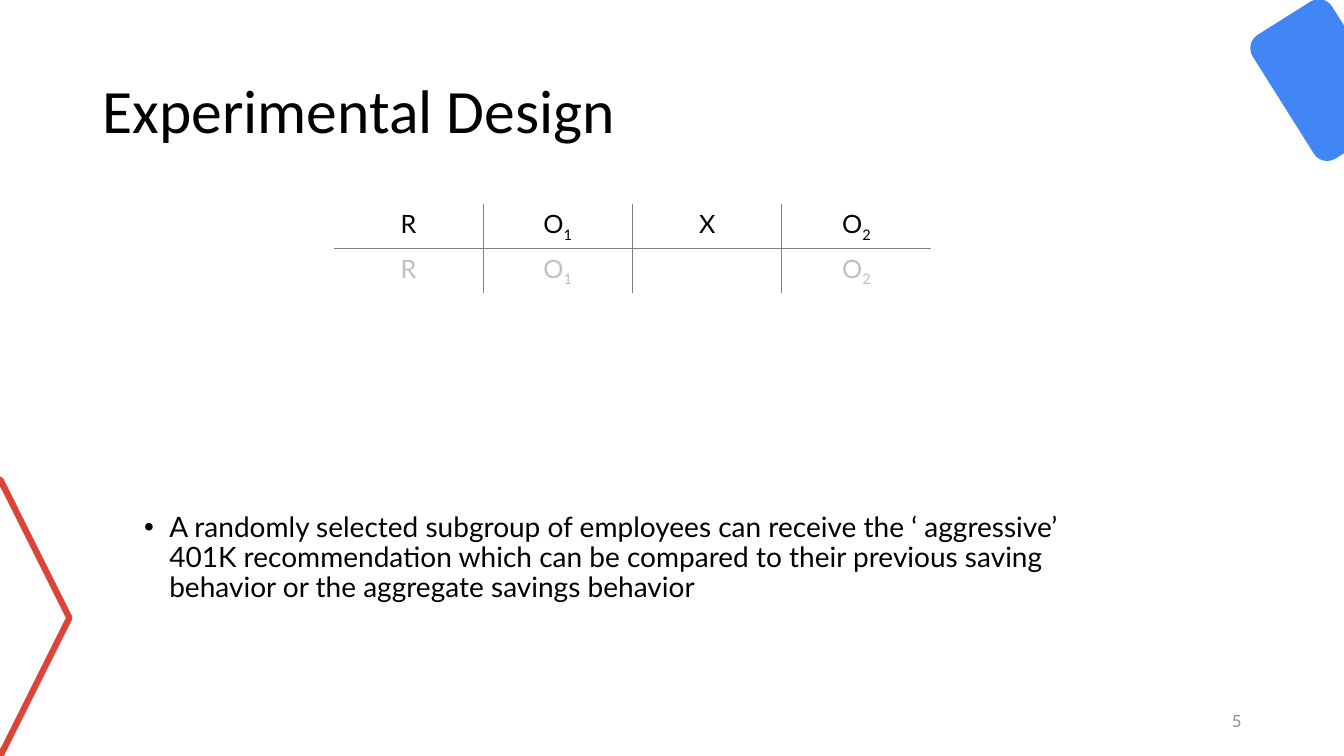
from pptx import Presentation
from pptx.dml.color import RGBColor
from pptx.enum.shapes import MSO_SHAPE as Preset
from pptx.enum.text import MSO_ANCHOR as Anchor, PP_ALIGN as Align
from pptx.oxml.ns import qn
from pptx.util import Pt
from lxml.etree import SubElement

COLORS = {
    "black": "000000",
    "blue": "4285F4",
    "red": "DB4437",
    "border": "808080",
    "muted": "BFBFBF",
    "number": "8C8C8C",
}
NO_STYLE = "{2D5ABB26-0587-4C30-8999-92F81FD0307C}"
DESIGN = [
    ("black", ["R", "O1", "X", "O2"]),
    ("muted", ["R", "O1", "", "O2"]),
]
FINDING = (
    "A randomly selected subgroup of employees can receive the ‘ aggressive’ "
    "401K recommendation which can be compared to their previous saving "
    "behavior or the aggregate savings behavior"
)


def color(name):
    return RGBColor.from_string(COLORS[name])


def format_run(run, size, color_name, font="Lato"):
    run.font.name = font
    run.font.size = Pt(size)
    run.font.color.rgb = color(color_name)


def add_decoration(slide, preset, box, fill=None, line=None, rotation=0):
    shape = slide.shapes.add_shape(preset, *map(Pt, box))
    shape.shadow.inherit = False
    shape.rotation = rotation
    if fill:
        shape.fill.solid()
        shape.fill.fore_color.rgb = color(fill)
    else:
        shape.fill.background()
    if line:
        shape.line.color.rgb = color(line)
        shape.line.width = Pt(4.5)
    else:
        shape.line.fill.background()


def set_title(slide, text):
    title = slide.shapes.title
    title.left, title.top, title.width, title.height = map(Pt, (66, 28.75, 828, 104.4))
    frame = title.text_frame
    frame.text = text
    frame.vertical_anchor = Anchor.MIDDLE
    paragraph = frame.paragraphs[0]
    paragraph.alignment = Align.LEFT
    paragraph.line_spacing = 0.9
    format_run(paragraph.runs[0], 44, "black", "Calibri")


def add_text(slide, text, box, size, color_name, align=Align.LEFT, anchor=Anchor.TOP):
    frame = slide.shapes.add_textbox(*map(Pt, box)).text_frame
    frame.word_wrap = True
    frame.vertical_anchor = anchor
    frame.text = text
    paragraph = frame.paragraphs[0]
    paragraph.alignment = align
    format_run(paragraph.runs[0], size, color_name)
    return paragraph


def add_bullet(paragraph, indent):
    paragraph.line_spacing = 0.9
    properties = paragraph._p.get_or_add_pPr()
    properties.set("marL", str(Pt(indent)))
    properties.set("indent", str(-Pt(indent)))
    SubElement(properties, qn("a:buFont"), typeface="Arial")
    SubElement(properties, qn("a:buChar"), char="•")


def add_border(cell, side):
    line = SubElement(cell._tc.get_or_add_tcPr(), qn(f"a:ln{side}"), w=str(Pt(1)))
    fill = SubElement(line, qn("a:solidFill"))
    SubElement(fill, qn("a:srgbClr"), val=COLORS["border"])


def fill_cell(cell, symbol, color_name):
    paragraph = cell.text_frame.paragraphs[0]
    paragraph.alignment = Align.CENTER
    paragraph.font.size = Pt(18)
    for position, character in enumerate(symbol):
        run = paragraph.add_run()
        run.text = character
        format_run(run, 18, color_name)
        if position:
            run.font._element.set("baseline", "-25000")


def add_design_table(slide, design, left, top, column_width, row_height):
    row_count, column_count = len(design), len(design[0][1])
    table = slide.shapes.add_table(
        row_count, column_count, Pt(left), Pt(top),
        Pt(column_width * column_count), Pt(row_height * row_count),
    ).table
    table.first_row = table.horz_banding = False
    table._tbl.tblPr.find(qn("a:tableStyleId")).text = NO_STYLE
    for row, (color_name, symbols) in enumerate(design):
        for column, symbol in enumerate(symbols):
            cell = table.cell(row, column)
            inner_sides = {
                "L": column > 0,
                "R": column < column_count - 1,
                "T": row > 0,
                "B": row < row_count - 1,
            }
            for side, is_inner in inner_sides.items():
                if is_inner:
                    add_border(cell, side)
            cell.fill.background()
            fill_cell(cell, symbol, color_name)


def main():
    presentation = Presentation()
    presentation.slide_width, presentation.slide_height = Pt(960), Pt(540)
    slide = presentation.slides.add_slide(presentation.slide_layouts[5])
    add_decoration(slide, Preset.ROUNDED_RECTANGLE, (911.5, 5, 67, 104.4),
                   fill="blue", rotation=327.8)
    add_decoration(slide, Preset.FLOWCHART_DECISION, (-49, 342.7, 98.6, 197.3), line="red")
    set_title(slide, "Experimental Design")
    add_text(slide, "5", (678, 500.5, 216, 28.75), 12, "number", Align.RIGHT, Anchor.MIDDLE)
    add_design_table(slide, DESIGN, 238.4, 145.6, 106.7, 29.2)
    finding = add_text(slide, FINDING, (95.8, 363, 713, 124), 20, "black")
    add_bullet(finding, 18)
    presentation.save("out.pptx")


main()
